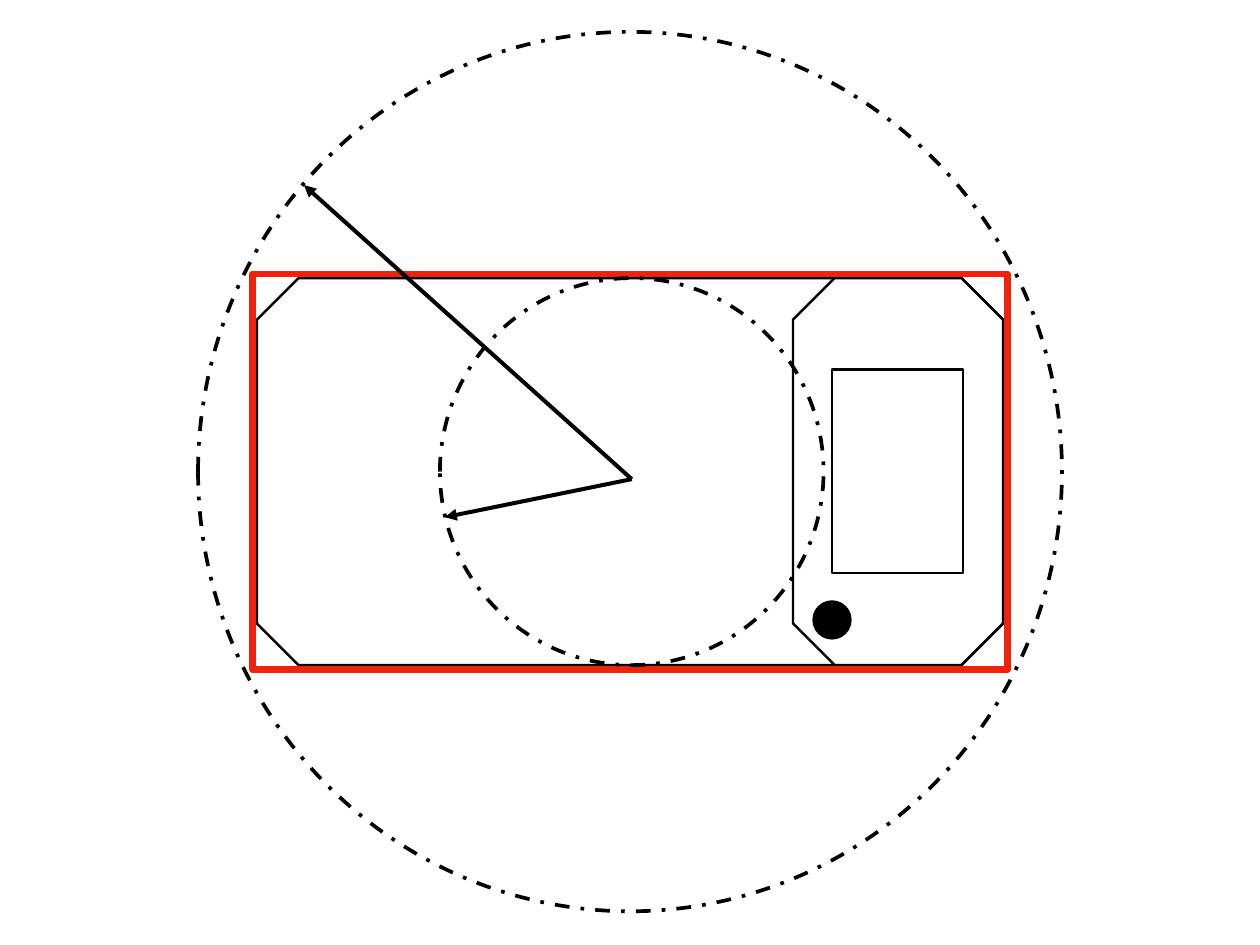
import dataclasses

import lxml.etree
import pptx
import pptx.dml.color
import pptx.enum.dml
import pptx.enum.shapes
import pptx.oxml.ns
import pptx.util

# Square grid cells, one inch each
COLUMNS, ROWS = 14.22, 10.67
CELL = pptx.util.Inches(1)
OVAL = pptx.enum.shapes.MSO_SHAPE.OVAL
RECTANGLE = pptx.enum.shapes.MSO_SHAPE.RECTANGLE


@dataclasses.dataclass(frozen=True)
class Theme:
    ink: str = "000000"
    paper: str = "FFFFFF"
    frame: str = "EE230C"
    hairline: float = 1
    outline: float = 2
    orbit: float = 3
    arrow: float = 3.25
    border: float = 5


THEME = Theme()


@dataclasses.dataclass(frozen=True)
class Area:
    left: float
    top: float
    width: float
    height: float

    @property
    def right(self):
        return self.left + self.width

    @property
    def bottom(self):
        return self.top + self.height

    def grown(self, margin):
        return Area(self.left - margin, self.top - margin,
                    self.width + 2 * margin, self.height + 2 * margin)


def cells(*counts):
    return [round(count * CELL) for count in counts]


def around(column, row, width, height):
    return Area(column - width / 2, row - height / 2, width, height)


def rgb(color):
    return pptx.dml.color.RGBColor.from_string(color)


def set_line(line, width, color=THEME.ink):
    line.color.rgb = rgb(color)
    line.width = pptx.util.Pt(width)


def style(shape, width, color=THEME.ink, fill=None):
    shape.shadow.inherit = False
    set_line(shape.line, width, color)
    if fill:
        shape.fill.solid()
        shape.fill.fore_color.rgb = rgb(fill)
    else:
        shape.fill.background()
    return shape


def add_preset(page, kind, area, width, color=THEME.ink, fill=None):
    shape = page.shapes.add_shape(
        kind, *cells(area.left, area.top, area.width, area.height))
    return style(shape, width, color, fill)


def add_orbit(page, area):
    orbit = add_preset(page, OVAL, area, THEME.orbit)
    orbit.line.dash_style = pptx.enum.dml.MSO_LINE.DASH_DOT


def add_chamfered(page, area, cut, fill=None):
    """Draw a rectangle with all four corners cut at 45 degrees."""
    left, top, right, bottom = area.left, area.top, area.right, area.bottom
    corners = [
        (left, top + cut), (left + cut, top),
        (right - cut, top), (right, top + cut),
        (right, bottom - cut), (right - cut, bottom),
        (left + cut, bottom), (left, bottom - cut),
    ]
    points = [cells(*corner) for corner in corners]
    builder = page.shapes.build_freeform(*points[0])
    builder.add_line_segments(points[1:], close=True)
    style(builder.convert_to_shape(), THEME.outline, fill=fill)


def add_arrow(page, start, end):
    arrow = page.shapes.add_connector(
        pptx.enum.shapes.MSO_CONNECTOR.STRAIGHT, *cells(*start, *end))
    set_line(arrow.line, THEME.arrow)
    qualified = pptx.oxml.ns.qn
    lxml.etree.SubElement(arrow.line._get_or_add_ln(),
                          qualified("a:tailEnd"), type="triangle")
    lxml.etree.SubElement(arrow._element.spPr, qualified("a:effectLst"))


def main():
    deck = pptx.Presentation()
    deck.slide_width, deck.slide_height = cells(COLUMNS, ROWS)
    page = deck.slides.add_slide(deck.slide_layouts.get_by_name("Blank"))

    # Body with its end panel
    body = Area(2.9, 3.14, 8.42, 4.37)
    middle = body.top + body.height / 2
    panel_left = 8.95
    panel = Area(panel_left, body.top, body.right - panel_left, body.height)
    add_chamfered(page, body, cut=0.47)
    add_chamfered(page, panel, cut=0.47, fill=THEME.paper)

    # Window and round knob on the panel
    window = Area(9.39, 4.17, 1.48, 2.3)
    knob = around(window.left, 7, 0.43, 0.43)
    add_preset(page, RECTANGLE, window, THEME.outline, fill=THEME.paper)
    add_preset(page, OVAL, knob, THEME.hairline, fill=THEME.ink)

    # Red bounding frame
    add_preset(page, RECTANGLE, body.grown(0.05), THEME.border, THEME.frame)

    # Inner and outer circles
    add_orbit(page, around(7.13, middle, 4.33, body.height))
    add_orbit(page, around(COLUMNS / 2, middle, 9.75, 9.93))

    # Radius arrows to the two circles
    pivot = (7.13, 5.41)
    for tip in [(3.43, 2.09), (5.02, 5.84)]:
        add_arrow(page, pivot, tip)

    deck.save("out.pptx")


if __name__ == "__main__":
    main()
